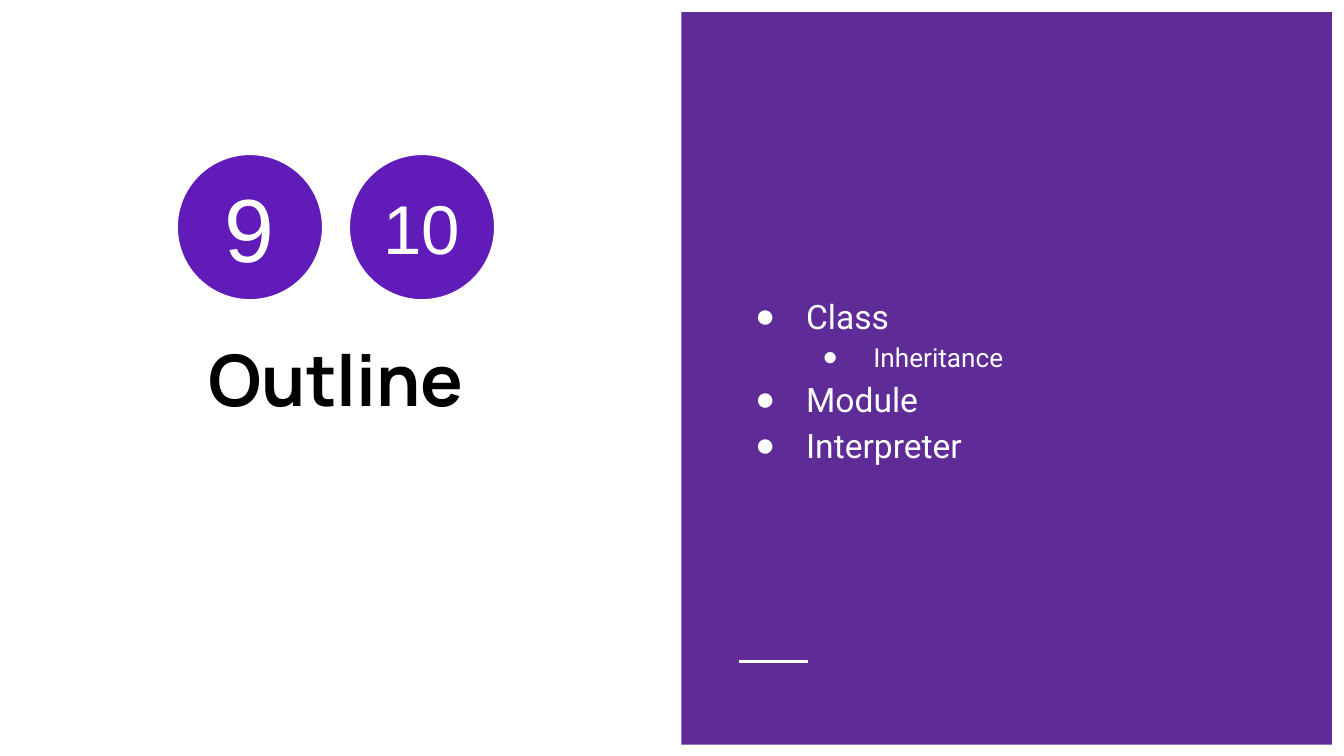
"""Build the outline slide for lessons 9 and 10."""
from lxml.etree import SubElement
from pptx import Presentation
from pptx.dml.color import RGBColor
from pptx.enum.shapes import MSO_CONNECTOR, MSO_SHAPE
from pptx.enum.text import MSO_ANCHOR, PP_ALIGN
from pptx.oxml.ns import qn
from pptx.util import Inches, Pt

WHITE = "FFFFFF"
TITLE = "Outline"
TITLE_FORMAT = {"name": "Manrope", "size": Pt(38), "bold": True}
LESSONS = [("9", 48), ("10", 37)]
TOPICS = [("Class", 0), ("Inheritance", 1), ("Module", 0), ("Interpreter", 0)]
TOPIC_SIZES = [18, 14]
CIRCLE_LEFT, CIRCLE_TOP, CIRCLE_SIZE, CIRCLE_STEP = 1.31, 1.14, 1.1, 1.28


def color(value):
    """Turn a hex string into a colour."""
    return RGBColor.from_string(value)


def add_span(para, text, fill, formats):
    """Add a formatted run to a paragraph."""
    span = para.add_run()
    span.text = text
    span.font.color.rgb = color(fill)
    for name, value in formats.items():
        setattr(span.font, name, value)


def prepare_frame(shape, inset=0.1, wrap=True):
    """Set up a vertically centred text frame and return it."""
    frame = shape.text_frame
    frame.word_wrap = wrap
    frame.vertical_anchor = MSO_ANCHOR.MIDDLE
    for side in ("left", "top", "right", "bottom"):
        setattr(frame, f"margin_{side}", Inches(inset))
    return frame


def add_filled_shape(page, kind, place, fill):
    """Add a flat shape without an outline."""
    shape = page.shapes.add_shape(kind, *map(Inches, place))
    shape.shadow.inherit = False
    shape.fill.solid()
    shape.fill.fore_color.rgb = color(fill)
    shape.line.fill.background()
    return shape


def add_rule(page, left, right, top):
    """Add a short white horizontal line."""
    rule = page.shapes.add_connector(
        MSO_CONNECTOR.STRAIGHT, *map(Inches, (left, top, right, top)))
    rule.line.color.rgb = color(WHITE)
    rule.line.width = Pt(1.5)
    SubElement(rule._element.spPr, qn("a:effectLst"))


def add_title(page):
    """Add the centred slide title."""
    box = page.shapes.add_textbox(*map(Inches, (0.29, 1.88, 4.42, 1.87)))
    para = prepare_frame(box).paragraphs[0]
    para.alignment = PP_ALIGN.CENTER
    add_span(para, TITLE, "000000", TITLE_FORMAT)


def add_topics(page):
    """Add the bulleted list of topics."""
    box = page.shapes.add_textbox(*map(Inches, (5.4, 0.79, 4.2, 4.04)))
    frame = prepare_frame(box)
    for index, (text, level) in enumerate(TOPICS):
        para = frame.add_paragraph() if index else frame.paragraphs[0]
        para.level = level
        para.line_spacing = 1.15
        properties = para._p.get_or_add_pPr()
        properties.set("marL", str(Inches(0.5 * (level + 1))))
        properties.set("indent", str(Inches(-0.38)))
        bullet_color = SubElement(properties, qn("a:buClr"))
        SubElement(bullet_color, qn("a:srgbClr"), val=WHITE)
        SubElement(properties, qn("a:buFont"), typeface="Arial")
        SubElement(properties, qn("a:buChar"), char="●")
        add_span(para, text, WHITE, {"name": "Roboto", "size": Pt(TOPIC_SIZES[level])})


def add_lessons(page):
    """Add the row of numbered circles."""
    for index, (number, size) in enumerate(LESSONS):
        left = CIRCLE_LEFT + index * CIRCLE_STEP
        place = (left, CIRCLE_TOP, CIRCLE_SIZE, CIRCLE_SIZE)
        circle = add_filled_shape(page, MSO_SHAPE.OVAL, place, "611BB8")
        circle.line.color.rgb = color(WHITE)
        circle.line.width = Pt(2)
        para = prepare_frame(circle, inset=0.05, wrap=False).paragraphs[0]
        para.alignment = PP_ALIGN.CENTER
        add_span(para, number, WHITE, {"name": "Arial", "size": Pt(size)})


def main():
    """Build and save the deck."""
    deck = Presentation()
    deck.slide_width = Inches(10)
    deck.slide_height = deck.slide_width * 9 // 16
    page = deck.slides.add_slide(deck.slide_layouts[6])
    add_filled_shape(page, MSO_SHAPE.RECTANGLE, (5.07, 0.09, 4.84, 5.45), "5E2B97")
    add_rule(page, 5.5, 6.01, 4.92)
    add_title(page)
    add_topics(page)
    add_lessons(page)
    deck.save("out.pptx")


if __name__ == "__main__":
    main()
